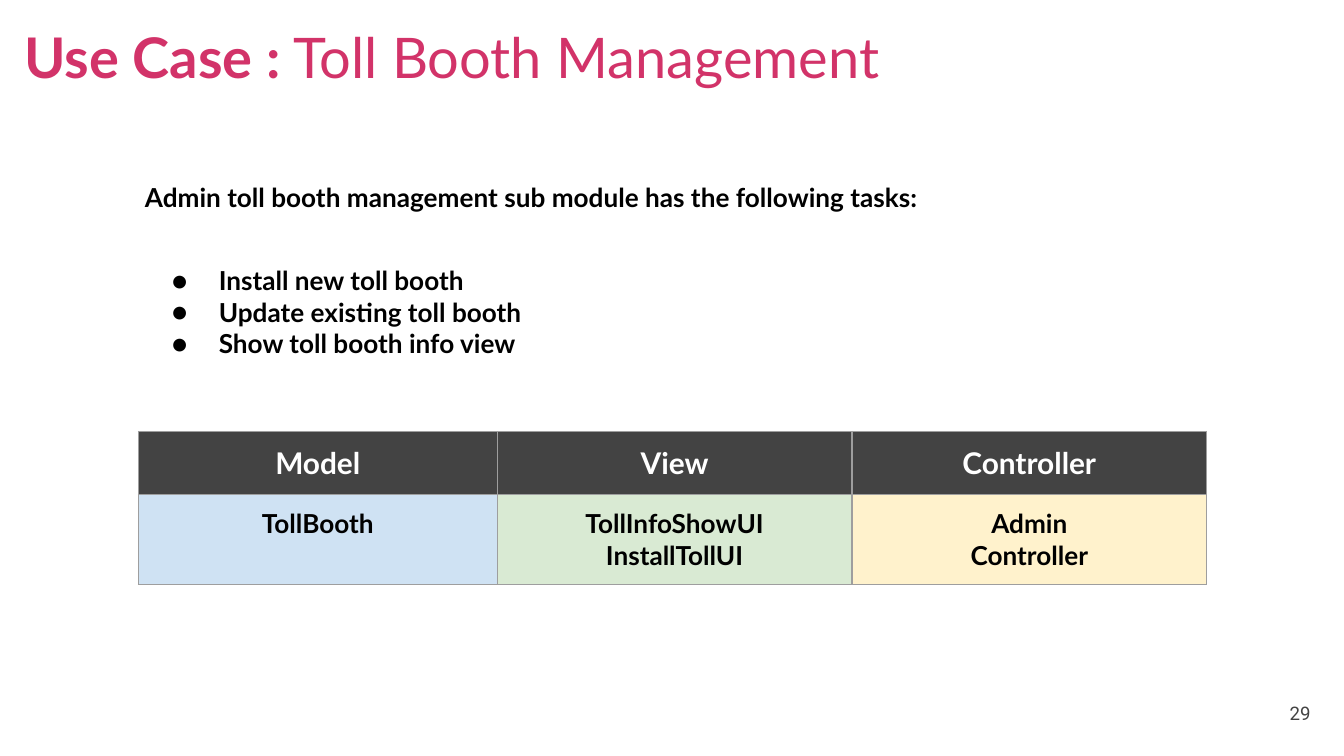
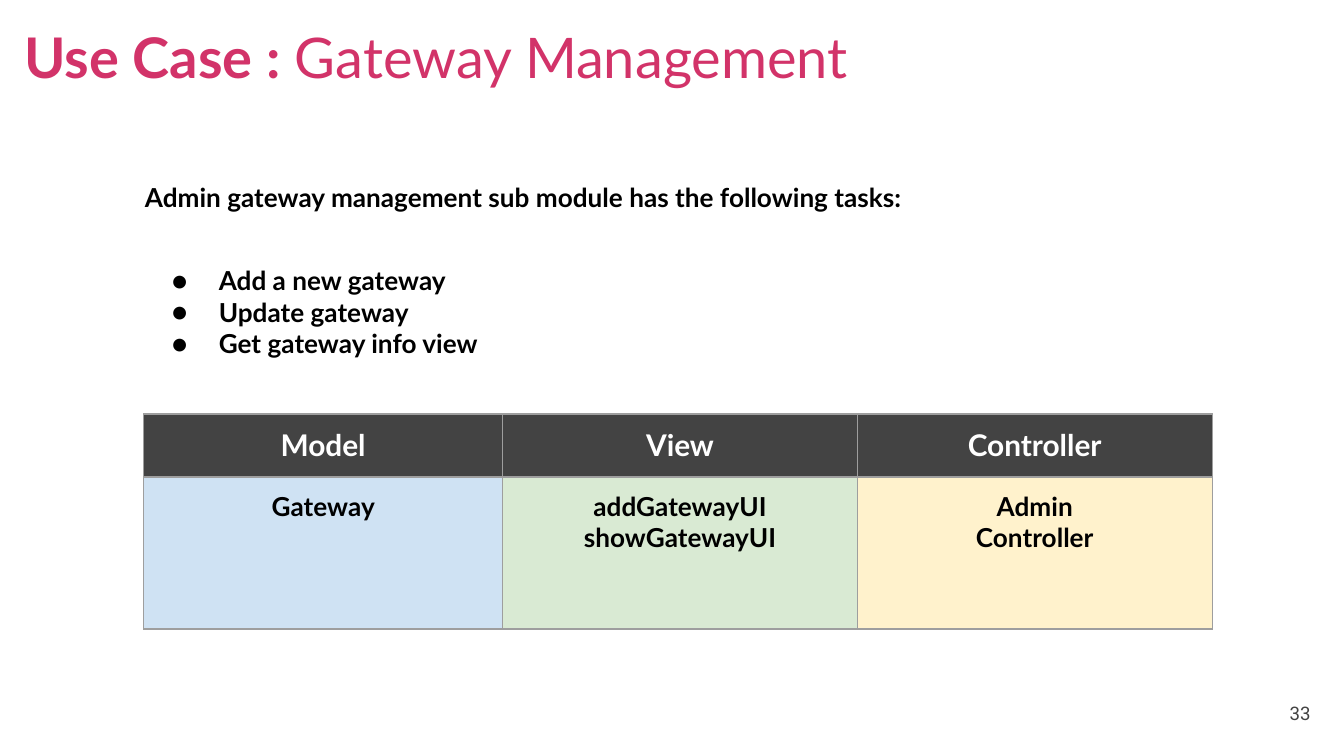
import pptx
import pptx.util
import pptx.dml.color
import pptx.enum.text
import pptx.oxml.ns
from lxml import etree

Inches = pptx.util.Inches
Pt = pptx.util.Pt
Align = pptx.enum.text.PP_ALIGN
Anchor = pptx.enum.text.MSO_ANCHOR
qn = pptx.oxml.ns.qn

COLORS = {
    "title": "D23369",
    "text": "000000",
    "head": "434343",
    "light": "FFFFFF",
    "model": "CFE2F3",
    "view": "D9EAD3",
    "control": "FFF2CC",
    "border": "9E9E9E",
}
HEADS = ["Model", "View", "Controller"]
FILLS = ["model", "view", "control"]
WIDTHS = [2.67, 2.64, 2.64]
PAD = Inches(0.1)


def rgb(name):
    return pptx.dml.color.RGBColor.from_string(COLORS[name])


def add_bullet(para):
    props = para._p.get_or_add_pPr()
    props.set("marL", str(Inches(0.5)))
    props.set("indent", str(Inches(-0.35)))
    tint = etree.SubElement(props, qn("a:buClr"))
    etree.SubElement(tint, qn("a:srgbClr"), val=COLORS["text"])
    etree.SubElement(props, qn("a:buFont"), typeface="Lato")
    etree.SubElement(props, qn("a:buChar"), char="●")


def write(frame, lines, size=14, font="Lato", color="text", bold=True,
          align=Align.LEFT, bullet=False):
    """Fill a frame; a line is a text or a list of (text, bold) pairs."""
    for i, line in enumerate(lines):
        para = frame.paragraphs[0] if i == 0 else frame.add_paragraph()
        if bullet:
            add_bullet(para)
        para.alignment = align
        pairs = [(line, bold)] if isinstance(line, str) else line
        for text, heavy in pairs:
            for j, part in enumerate(text.split("\n")):
                if j:
                    para.add_line_break()
                run = para.add_run()
                run.text = part
                run.font.size = Pt(size)
                run.font.name = font
                run.font.bold = heavy
                run.font.color.rgb = rgb(color)


def set_frame(shape, anchor=Anchor.TOP):
    frame = shape.text_frame
    frame.word_wrap = True
    frame.auto_size = pptx.enum.text.MSO_AUTO_SIZE.NONE
    frame.vertical_anchor = anchor
    frame.margin_left = frame.margin_right = PAD
    frame.margin_top = frame.margin_bottom = PAD
    return frame


def add_text(slide, box, lines, anchor=Anchor.TOP, **style):
    shape = slide.shapes.add_textbox(*map(Inches, box))
    write(set_frame(shape, anchor), lines, **style)


def add_title(slide, topic):
    title = slide.shapes.title
    title.left, title.top = Inches(0.08), Inches(0.07)
    title.width, title.height = Inches(7.38), Inches(0.6)
    write(set_frame(title), [[("Use Case :", True), (" " + topic, False)]],
          size=30, color="title")


def style_cell(cell, fill):
    cell.margin_left = cell.margin_right = PAD
    cell.margin_top = cell.margin_bottom = PAD
    props = cell._tc.get_or_add_tcPr()
    for side in "LRTB":
        line = etree.SubElement(props, qn("a:ln" + side), w=str(Pt(0.75)))
        paint = etree.SubElement(line, qn("a:solidFill"))
        etree.SubElement(paint, qn("a:srgbClr"), val=COLORS["border"])
    cell.fill.solid()
    cell.fill.fore_color.rgb = rgb(fill)


def add_grid(slide, left, top, heights, body):
    box = (left, top, sum(WIDTHS), sum(heights))
    table = slide.shapes.add_table(2, 3, *map(Inches, box)).table
    table.first_row = table.horz_banding = False
    for row, height in zip(table.rows, heights):
        row.height = Inches(height)
    for i, width in enumerate(WIDTHS):
        table.columns[i].width = Inches(width)
        head, cell = table.cell(0, i), table.cell(1, i)
        style_cell(head, "head")
        write(head.text_frame, [HEADS[i]], size=16, color="light",
              align=Align.CENTER)
        style_cell(cell, FILLS[i])
        write(cell.text_frame, body[i], align=Align.CENTER)


def add_case(deck, topic, intro, tasks, number, grid):
    slide = deck.slides.add_slide(deck.slide_layouts[5])
    add_title(slide, topic)
    add_grid(slide, **grid)
    add_text(slide, (0.98, 1.25, 8.03, 0.44), [intro])
    add_text(slide, (1.03, 1.87, 3.97, 0.91), tasks, bullet=True)
    # Page number
    add_text(slide, (9.25, 5.09, 0.6, 0.43), [number], anchor=Anchor.MIDDLE,
             size=10, font="Roboto", color="head", bold=False,
             align=Align.RIGHT)


def main():
    # Widescreen, 16 to 9
    deck = pptx.Presentation()
    deck.slide_width, deck.slide_height = Inches(10), Inches(10 * 9 / 16)

    # Toll booths
    add_case(
        deck, "Toll Booth Management",
        "Admin toll booth management sub module has the following tasks:",
        ["Install new toll booth", "Update existing toll booth",
         "Show toll booth info view"],
        "29",
        dict(left=1.03, top=3.21, heights=[0.47, 0.66],
             body=[["TollBooth"], ["TollInfoShowUI", "InstallTollUI"],
                   ["Admin\nController"]]))

    # Gateways
    add_case(
        deck, "Gateway Management",
        "Admin gateway management sub module has the following tasks:",
        ["Add a new gateway", "Update gateway", "Get gateway info view"],
        "33",
        dict(left=1.07, top=3.08, heights=[0.47, 1.13],
             body=[["Gateway"], ["addGatewayUI", "showGatewayUI"],
                   ["Admin\nController"]]))

    deck.save("out.pptx")


if __name__ == "__main__":
    main()
